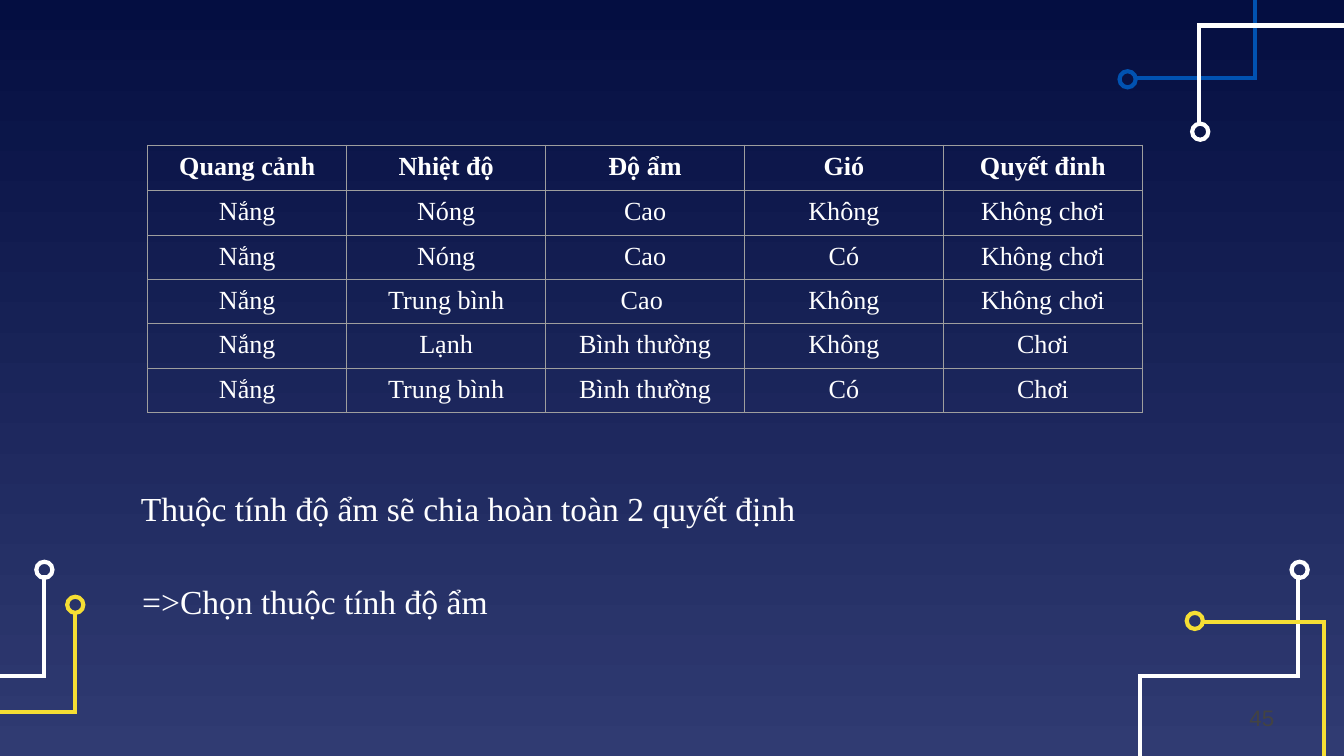
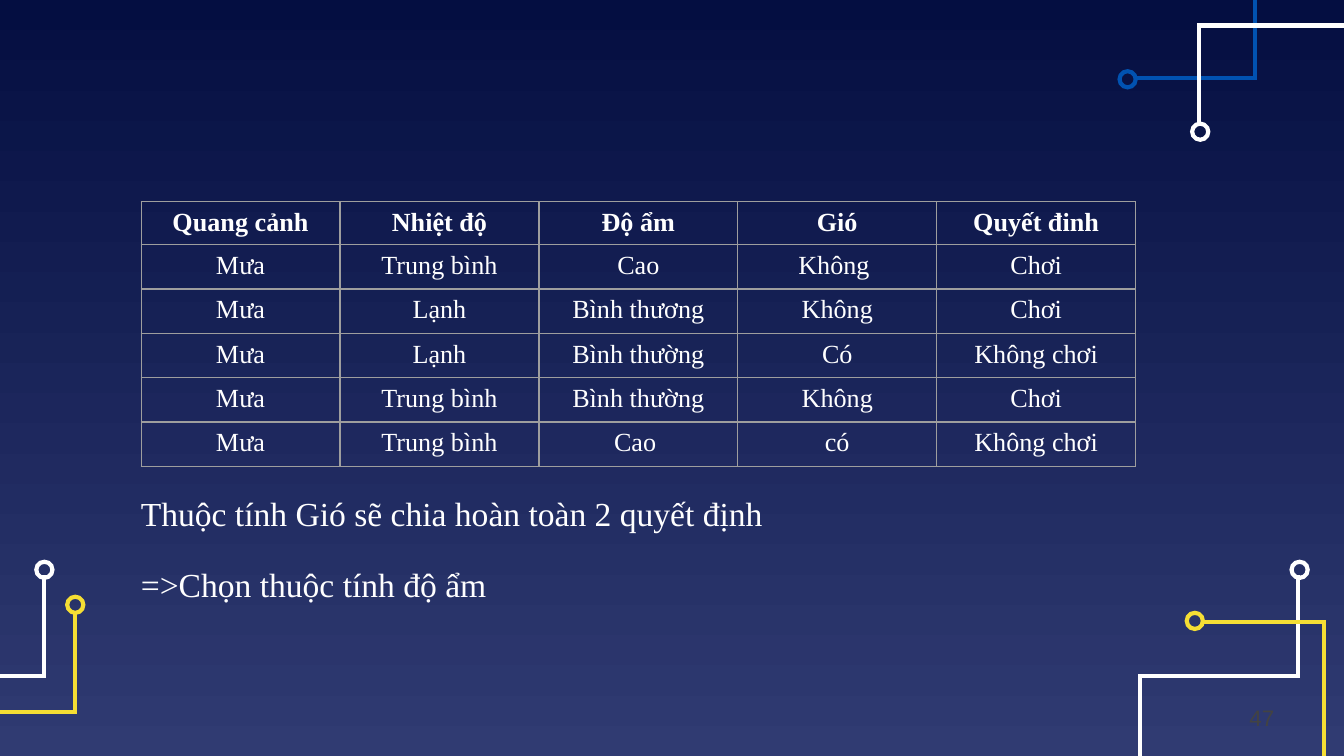
from dataclasses import dataclass

import pptx
import pptx.dml.color
import pptx.enum.shapes
import pptx.enum.text
import pptx.oxml
import pptx.oxml.ns
import pptx.util
from pptx.util import Inches

ALIGN = pptx.enum.text.PP_ALIGN


@dataclass(frozen=True)
class Theme:
    background_top: str = "040E41"
    background_bottom: str = "303B72"
    white: str = "FFFFFF"
    blue: str = "0152B1"
    yellow: str = "F5DE34"
    grid: str = "9E9E9E"
    number: str = "434343"
    font: str = "Times New Roman"
    number_font: str = "Arial"
    body_size: int = 18
    table_size: int = 14
    number_size: int = 12
    trace_width: float = 2.25
    grid_width: float = 0.75


THEME = Theme()

# Bends of each circuit trace, relative to its start
STEP_DOWN = [(0, 0.75), (-1.18, 0.75), (-1.18, 1.43)]
STEP_UP = [(0, -0.74), (1.18, -0.74), (1.18, -1.45)]
CORNER_DOWN = [(0.91, 0), (0.91, 1.08)]
CORNER_UP = [(0.89, 0), (0.89, -1.1)]
RING_SIZE = 0.12

# Colour, start of the trace, its bends, top left of its end ring
CIRCUITS = [
    (THEME.white, (9.66, 4.28), STEP_DOWN, (9.61, 4.18)),
    (THEME.blue, (8.45, 0.58), CORNER_UP, (8.33, 0.53)),
    (THEME.white, (8.92, 0.93), STEP_UP, (8.87, 0.92)),
    (THEME.yellow, (8.94, 4.63), CORNER_DOWN, (8.83, 4.56)),
    (THEME.white, (0.33, 4.28), STEP_DOWN, (0.27, 4.18)),
    (THEME.yellow, (0.56, 4.55), STEP_DOWN, (0.5, 4.44)),
]

COLUMN_WIDTH = 1.48
ROW_HEIGHT = 0.33
HEADINGS = ["Quang cảnh", "Nhiệt độ", "Độ ẩm", "Gió", "Quyết đinh"]

SUNNY_DAYS = [
    ["Nắng", "Nóng", "Cao", "Không", "Không chơi"],
    ["Nắng", "Nóng", "Cao", "Có", "Không chơi"],
    ["Nắng", "Trung bình", "Cao ", "Không", "Không chơi"],
    ["Nắng", "Lạnh", "Bình thường", "Không", "Chơi"],
    ["Nắng", "Trung bình", "Bình thường", "Có", "Chơi"],
]
RAINY_DAYS = [
    ["Mưa", "Trung bình", "Cao", "Không ", "Chơi"],
    ["Mưa", "Lạnh", "Bình thương", "Không", "Chơi"],
    ["Mưa", "Lạnh", "Bình thường", "Có", "Không chơi"],
    ["Mưa", "Trung bình", "Bình thường", "Không", "Chơi"],
    ["Mưa", "Trung bình", "Cao ", "có", "Không chơi"],
]


def rgb(colour):
    return pptx.dml.color.RGBColor.from_string(colour)


def write(frame, text, size=THEME.body_size, colour=THEME.white,
          font=THEME.font, bold=False, align=ALIGN.LEFT):
    paragraph = frame.paragraphs[0]
    paragraph.alignment = align
    run = paragraph.add_run()
    run.text = text
    run.font.name = font
    run.font.size = pptx.util.Pt(size)
    run.font.bold = bold
    run.font.color.rgb = rgb(colour)


class Deck:
    """Holds the style and the slide being drawn."""

    def __init__(self, theme):
        self.theme = theme
        self.prs = pptx.Presentation()
        self.prs.slide_width = Inches(10)
        self.prs.slide_height = Inches(10) * 9 // 16
        self.slide = None

    def start_slide(self, number):
        self.slide = self.prs.slides.add_slide(self.prs.slide_layouts[6])
        fill = self.slide.background.fill
        fill.gradient()
        fill.gradient_angle = 270
        colours = (self.theme.background_top, self.theme.background_bottom)
        for position, (stop, colour) in enumerate(zip(fill.gradient_stops, colours)):
            stop.position = position
            stop.color.rgb = rgb(colour)
        for circuit in CIRCUITS:
            self.circuit(*circuit)
        self.text(number, 9.17, 5.19, 0.41, size=self.theme.number_size,
                  colour=self.theme.number, font=self.theme.number_font,
                  align=ALIGN.RIGHT)

    def circuit(self, colour, start, bends, ring_corner):
        x, y = start
        builder = self.slide.shapes.build_freeform(Inches(x), Inches(y))
        builder.add_line_segments(
            [(Inches(x + dx), Inches(y + dy)) for dx, dy in bends], close=False)
        trace = builder.convert_to_shape()
        ring = self.slide.shapes.add_shape(
            pptx.enum.shapes.MSO_SHAPE.OVAL, *map(Inches, ring_corner),
            Inches(RING_SIZE), Inches(RING_SIZE))
        for part in (trace, ring):
            part.shadow.inherit = False
            part.fill.background()
            part.line.color.rgb = rgb(colour)
            part.line.width = pptx.util.Pt(self.theme.trace_width)
            outline = part.element.spPr.find(pptx.oxml.ns.qn("a:ln"))
            outline.append(pptx.oxml.parse_xml(
                f'<a:miter {pptx.oxml.ns.nsdecls("a")} lim="800000"/>'))

    def text(self, text, left, top, width, **style):
        box = self.slide.shapes.add_textbox(
            Inches(left), Inches(top), Inches(width), Inches(0.4))
        box.text_frame.word_wrap = False
        box.text_frame.auto_size = pptx.enum.text.MSO_AUTO_SIZE.SHAPE_TO_FIT_TEXT
        write(box.text_frame, text, **style)

    def table(self, days, left, top, heading_height):
        rows = [HEADINGS] + days
        height = heading_height + ROW_HEIGHT * len(days)
        table = self.slide.shapes.add_table(
            len(rows), len(HEADINGS), Inches(left), Inches(top),
            Inches(COLUMN_WIDTH * len(HEADINGS)), Inches(height)).table
        table.first_row = table.horz_banding = False
        for column in table.columns:
            column.width = Inches(COLUMN_WIDTH)
        for r, values in enumerate(rows):
            table.rows[r].height = Inches(ROW_HEIGHT if r else heading_height)
            for c, value in enumerate(values):
                cell = table.cell(r, c)
                cell.margin_bottom = Inches(0.03)
                self.cell_borders(cell)
                cell.fill.background()
                write(cell.text_frame, value, size=self.theme.table_size,
                      bold=r == 0, align=ALIGN.CENTER)

    def cell_borders(self, cell):
        properties = cell._tc.get_or_add_tcPr()
        width = pptx.util.Pt(self.theme.grid_width)
        for side in ("lnL", "lnR", "lnT", "lnB"):
            properties.append(pptx.oxml.parse_xml(
                f'<a:{side} {pptx.oxml.ns.nsdecls("a")} w="{width}"><a:solidFill>'
                f'<a:srgbClr val="{self.theme.grid}"/></a:solidFill></a:{side}>'))


def main():
    deck = Deck(THEME)

    deck.start_slide("45")
    deck.table(SUNNY_DAYS, 1.1, 1.08, heading_height=0.34)
    deck.text("Thuộc tính độ ẩm sẽ chia hoàn toàn 2 quyết định", 0.95, 3.58, 5.12)
    deck.text("=>Chọn thuộc tính độ ẩm", 0.96, 4.27, 2.86)

    deck.start_slide("47")
    deck.table(RAINY_DAYS, 1.05, 1.5, heading_height=0.32)
    deck.text("Thuộc tính Gió sẽ chia hoàn toàn 2 quyết định", 0.95, 3.62, 4.88)
    deck.text("=>Chọn thuộc tính độ ẩm", 0.95, 4.15, 2.86)

    deck.prs.save("out.pptx")


if __name__ == "__main__":
    main()
